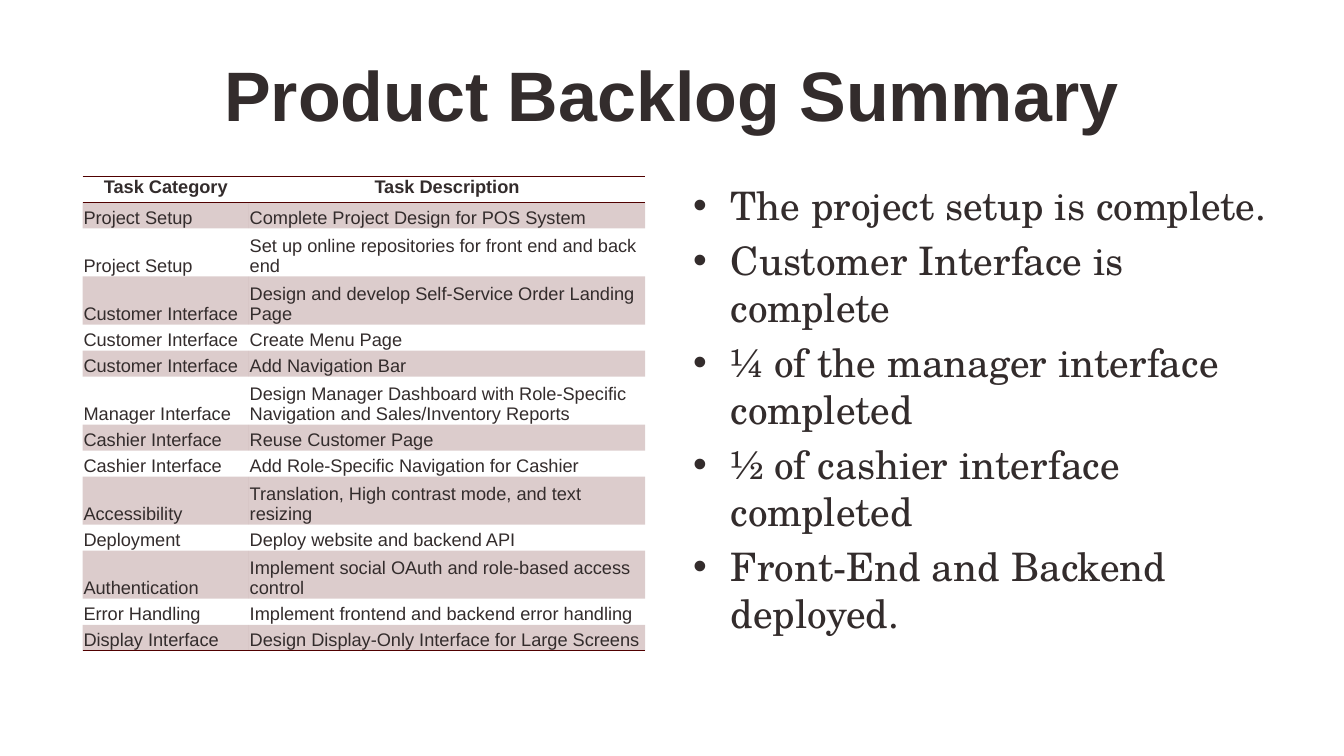
from dataclasses import dataclass

from lxml import etree
from pptx import Presentation
from pptx.dml.color import RGBColor
from pptx.enum.text import MSO_ANCHOR, PP_ALIGN
from pptx.oxml.ns import qn
from pptx.util import Pt

CENTER, LEFT = PP_ALIGN.CENTER, PP_ALIGN.LEFT
TOP, MIDDLE, BOTTOM = MSO_ANCHOR.TOP, MSO_ANCHOR.MIDDLE, MSO_ANCHOR.BOTTOM


@dataclass(frozen=True)
class Theme:
    """Colours, fonts and type sizes of the slide."""
    ink: str = "332C2C"
    maroon: str = "500000"
    band_alpha: int = 20000
    sans: str = "Arial"
    serif: str = "TeX Gyre Schola"
    title_size: int = 50
    status_size: int = 28
    task_size: int = 13


THEME = Theme()
HEADINGS = ("Task Category", "Task Description")
TASKS = [
    ("Project Setup", "Complete Project Design for POS System"),
    ("Project Setup", "Set up online repositories for front end and back end"),
    ("Customer Interface", "Design and develop Self-Service Order Landing Page"),
    ("Customer Interface", "Create Menu Page"),
    ("Customer Interface", "Add Navigation Bar"),
    ("Manager Interface", "Design Manager Dashboard with Role-Specific "
                          "Navigation and Sales/Inventory Reports"),
    ("Cashier Interface", "Reuse Customer Page"),
    ("Cashier Interface", "Add Role-Specific Navigation for Cashier"),
    ("Accessibility", "Translation, High contrast mode, and text resizing"),
    ("Deployment", "Deploy website and backend API"),
    ("Authentication", "Implement social OAuth and role-based access control"),
    ("Error Handling", "Implement frontend and backend error handling"),
    ("Display Interface", "Design Display-Only Interface for Large Screens"),
]
STATUS = [
    "The project setup is complete.",
    "Customer Interface is complete",
    "¼ of the manager interface completed",
    "½ of cashier interface completed",
    "Front-End and Backend deployed.",
]
CATEGORY_SHARE = 0.2955
SHORT_ROW, TALL_ROW, LINE_LIMIT = 18.6, 34.3, 48


def style(paragraph, face, size, bold=False):
    """Format every run of a paragraph."""
    for run in paragraph.runs:
        run.font.name = face
        run.font.size = Pt(size)
        run.font.bold = bold
        run.font.color.rgb = RGBColor.from_string(THEME.ink)


def add_text_frame(slide, box, anchor):
    """Add a wrapping text box and return its frame."""
    frame = slide.shapes.add_textbox(*map(Pt, box)).text_frame
    frame.word_wrap = True
    frame.vertical_anchor = anchor
    return frame


def add_title(slide, box):
    """Place the centred slide title in the box."""
    frame = add_text_frame(slide, box, MIDDLE)
    frame.text = "Product Backlog Summary"
    heading = frame.paragraphs[0]
    heading.alignment = CENTER
    style(heading, THEME.sans, THEME.title_size, bold=True)


def add_status(slide, box):
    """Place the bulleted progress notes in the box."""
    frame = add_text_frame(slide, box, TOP)
    frame.text = "\n".join(STATUS)
    for index, note in enumerate(frame.paragraphs):
        if index:
            note.space_before = Pt(THEME.status_size * 0.2)
        properties = note._p.get_or_add_pPr()
        properties.set("marL", str(Pt(27)))
        properties.set("indent", str(-Pt(27)))
        etree.SubElement(properties, qn("a:buFont"), typeface=THEME.sans)
        etree.SubElement(properties, qn("a:buChar"), char="•")
        style(note, THEME.serif, THEME.status_size)


def set_borders(cell, ruled):
    """Draw the ruled sides of a cell and clear the others."""
    properties = cell._tc.get_or_add_tcPr()
    for side in "LRTB":
        width = Pt(1) if side in ruled else 0
        line = etree.SubElement(properties, qn(f"a:ln{side}"), w=str(width))
        if side in ruled:
            fill = etree.SubElement(line, qn("a:solidFill"))
            etree.SubElement(fill, qn("a:srgbClr"), val=THEME.maroon)
        else:
            etree.SubElement(line, qn("a:noFill"))


def set_band(cell, banded):
    """Give a cell a translucent band or no fill."""
    if not banded:
        cell.fill.background()
        return
    cell.fill.solid()
    cell.fill.fore_color.rgb = RGBColor.from_string(THEME.maroon)
    colour = cell._tc.tcPr.find(qn("a:solidFill")).find(qn("a:srgbClr"))
    etree.SubElement(colour, qn("a:alpha"), val=str(THEME.band_alpha))


def add_backlog(slide, box):
    """Place the task table in the box."""
    entries = [HEADINGS, *TASKS]
    last = len(entries) - 1
    backlog = slide.shapes.add_table(len(entries), 2, *map(Pt, box)).table
    backlog.first_row = backlog.horz_banding = False
    width = box[2]
    backlog.columns[0].width = Pt(width * CATEGORY_SHARE)
    backlog.columns[1].width = Pt(width * (1 - CATEGORY_SHARE))
    ruled_sides = {0: "TB", 1: "T", last: "B"}
    for row, entry in enumerate(entries):
        tall = len(entry[1]) > LINE_LIMIT
        backlog.rows[row].height = Pt(TALL_ROW if tall else SHORT_ROW)
        for column, words in enumerate(entry):
            cell = backlog.cell(row, column)
            cell.text = words
            cell.margin_left = cell.margin_right = cell.margin_top = Pt(0.7)
            cell.margin_bottom = 0
            cell.vertical_anchor = BOTTOM if row else TOP
            label = cell.text_frame.paragraphs[0]
            label.alignment = LEFT if row else CENTER
            style(label, THEME.sans, THEME.task_size, bold=row == 0)
            set_borders(cell, ruled_sides.get(row, ""))
            set_band(cell, row % 2 == 1)


def main():
    """Build and save the backlog slide."""
    deck = Presentation()
    deck.slide_width, deck.slide_height = Pt(960), Pt(540)
    slide = deck.slides.add_slide(deck.slide_layouts[6])
    add_title(slide, (48, 21.6, 864, 90))
    add_status(slide, (488, 126, 424, 339))
    add_backlog(slide, (59, 126, 401.8, 339))
    deck.save("out.pptx")


if __name__ == "__main__":
    main()
